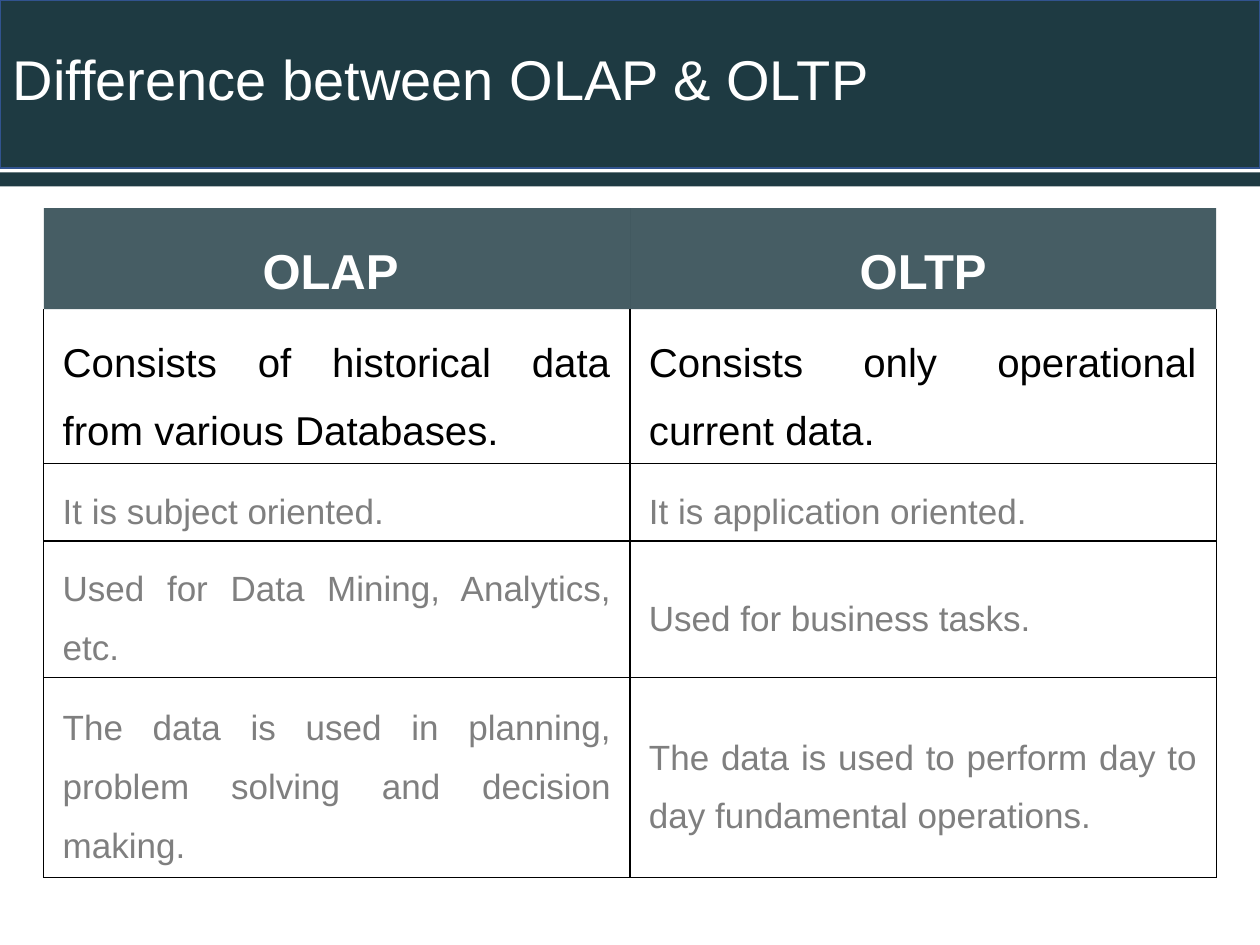
from dataclasses import dataclass

import lxml.etree
import pptx
import pptx.dml.color
import pptx.enum.shapes
import pptx.enum.text
import pptx.oxml.ns
import pptx.util

Pt = pptx.util.Pt
RGB = pptx.dml.color.RGBColor.from_string
qn = pptx.oxml.ns.qn
ALIGN = pptx.enum.text.PP_ALIGN


@dataclass(frozen=True)
class Theme:
    font: str = "Arial"
    dark: str = "1E3A42"
    outline: str = "31538F"
    white: str = "FFFFFF"
    black: str = "000000"
    grey: str = "7F7F7F"
    title_size: float = 32
    header_size: float = 28
    lead_size: float = 23
    body_size: float = 20
    header_opacity: int = 82


@dataclass(frozen=True)
class Band:
    top: float
    height: float
    line: str | None = None


@dataclass(frozen=True)
class RowStyle:
    size: float
    color: str
    bold: bool
    align: ALIGN
    margin_x: float
    margin_y: float
    borders: str  # sides that carry a line, out of L, R, T, B


@dataclass(frozen=True)
class Row:
    height: float
    texts: tuple[str, str]
    style: RowStyle


THEME = Theme()
WIDTH, HEIGHT = 720, 540
TABLE_LEFT, TABLE_TOP, COLUMN_WIDTH = 25, 119, 335

HEADER = RowStyle(THEME.header_size, THEME.white, True, ALIGN.CENTER, 5.4, 5.4, "")
LEAD = RowStyle(THEME.lead_size, THEME.black, False, ALIGN.JUSTIFY, 10.8, 5.4, "LRB")
BODY = RowStyle(THEME.body_size, THEME.grey, False, ALIGN.JUSTIFY, 10.8, 5.4, "LRTB")

BANDS = [Band(0, 96, THEME.outline), Band(98.5, 8)]
ROWS = [
    Row(57, ("OLAP ", "OLTP"), HEADER),
    Row(87.5, ("Consists of historical data from various Databases.",
               "Consists only operational current data."), LEAD),
    Row(43.5, ("It is subject oriented. ", "It is application oriented. "), BODY),
    Row(78, ("Used for Data Mining, Analytics, etc.", "Used for business tasks."), BODY),
    Row(114.5, ("The data is used in planning, problem solving and decision making.",
                "The data is used to perform day to day fundamental operations."), BODY),
]


def set_font(p, size: float, color: str, bold: bool = False) -> None:
    p.font.name = THEME.font
    p.font.size = Pt(size)
    p.font.bold = bold
    p.font.color.rgb = RGB(color)


def add_band(s, band: Band) -> None:
    sp = s.shapes.add_shape(pptx.enum.shapes.MSO_SHAPE.RECTANGLE,
                            0, Pt(band.top), Pt(WIDTH), Pt(band.height))
    sp.shadow.inherit = False
    sp.fill.solid()
    sp.fill.fore_color.rgb = RGB(THEME.dark)
    if band.line:
        sp.line.color.rgb = RGB(band.line)
        sp.line.width = Pt(1)
    else:
        sp.line.fill.background()


def format_title(s, text: str) -> None:
    sp = s.shapes.title
    sp.left, sp.top, sp.width, sp.height = Pt(0), Pt(-1), Pt(WIDTH), Pt(96)
    tf = sp.text_frame
    tf.text = text
    tf.vertical_anchor = pptx.enum.text.MSO_ANCHOR.MIDDLE
    p = tf.paragraphs[0]
    p.alignment = ALIGN.LEFT
    p.line_spacing = 0.9
    set_font(p, THEME.title_size, THEME.white)
    # Bring the title in front of the bands
    sp.element.getparent().append(sp.element)


def set_borders(cell, sides: str) -> None:
    tc_pr = cell._tc.get_or_add_tcPr()
    for side in "LRTB":
        ln = lxml.etree.SubElement(tc_pr, qn(f"a:ln{side}"), w=str(Pt(1)))
        if side in sides:
            fill = lxml.etree.SubElement(ln, qn("a:solidFill"))
            lxml.etree.SubElement(fill, qn("a:srgbClr"), val=THEME.black)
        else:
            lxml.etree.SubElement(ln, qn("a:noFill"))


def fill_header(cell) -> None:
    cell.fill.solid()
    cell.fill.fore_color.rgb = RGB(THEME.dark)
    color = cell._tc.tcPr.find(".//" + qn("a:solidFill") + "/" + qn("a:srgbClr"))
    lxml.etree.SubElement(color, qn("a:alpha"), val=str(THEME.header_opacity * 1000))


def format_cell(cell, text: str, style: RowStyle) -> None:
    cell.margin_left = cell.margin_right = Pt(style.margin_x)
    cell.margin_top = cell.margin_bottom = Pt(style.margin_y)
    cell.vertical_anchor = pptx.enum.text.MSO_ANCHOR.MIDDLE
    set_borders(cell, style.borders)
    if style is HEADER:
        fill_header(cell)
    else:
        cell.fill.background()
    cell.text = text
    p = cell.text_frame.paragraphs[0]
    p.alignment = style.align
    p.line_spacing = 1.5
    set_font(p, style.size, style.color, style.bold)


def add_comparison(s, rows: list[Row]) -> None:
    table = s.shapes.add_table(len(rows), 2, Pt(TABLE_LEFT), Pt(TABLE_TOP),
                               Pt(2 * COLUMN_WIDTH),
                               Pt(sum(row.height for row in rows))).table
    table.first_row = table.horz_banding = False
    for column in table.columns:
        column.width = Pt(COLUMN_WIDTH)
    for i, row in enumerate(rows):
        table.rows[i].height = Pt(row.height)
        for j, text in enumerate(row.texts):
            format_cell(table.cell(i, j), text, row.style)


def main() -> None:
    prs = pptx.Presentation()
    prs.slide_width, prs.slide_height = Pt(WIDTH), Pt(HEIGHT)
    s = prs.slides.add_slide(prs.slide_layouts[5])

    # Title banner
    for band in BANDS:
        add_band(s, band)
    format_title(s, "Difference between OLAP & OLTP")

    # Comparison table
    add_comparison(s, ROWS)
    prs.save("out.pptx")


if __name__ == "__main__":
    main()
